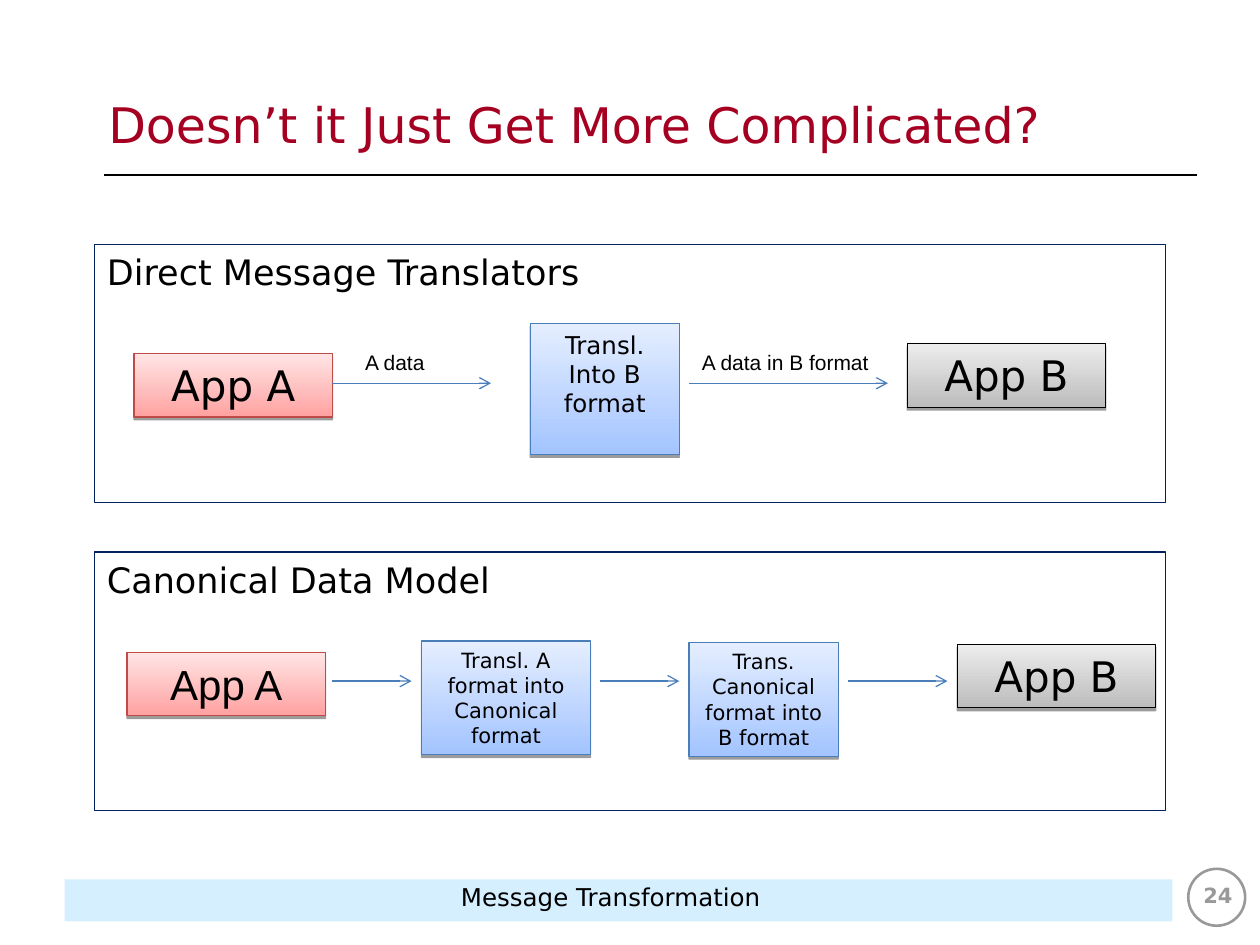
from lxml.etree import SubElement
from pptx import Presentation
from pptx.dml.color import RGBColor
from pptx.enum.shapes import MSO_CONNECTOR, MSO_SHAPE
from pptx.enum.text import MSO_ANCHOR, MSO_AUTO_SIZE, PP_ALIGN
from pptx.oxml.ns import qn
from pptx.util import Pt

SANS = "DejaVu Sans"
RED = ("FFA2A1", "FFE5E5", "BE4B48")
GRAY = ("BCBCBC", "EDEDED", "000000")
BLUE = ("A3C4FF", "E5EEFF", "4A7EBB")


def rgb(color):
    return RGBColor.from_string(color)


def place(shape, box):
    shape.left, shape.top, shape.width, shape.height = [Pt(v) for v in box]


def write(shape, text, size, color="000000", font=SANS, bold=False,
          align=PP_ALIGN.CENTER, anchor=MSO_ANCHOR.TOP):
    frame = shape.text_frame
    frame.word_wrap = True
    frame.auto_size = MSO_AUTO_SIZE.NONE
    frame.vertical_anchor = anchor
    para = frame.paragraphs[0]
    para.alignment = align
    run = para.add_run()
    run.text = text
    run.font.name = font
    run.font.size = Pt(size)
    run.font.bold = bold
    run.font.color.rgb = rgb(color)


def add_text(slide, box, text, size, **style):
    write(slide.shapes.add_textbox(*[Pt(v) for v in box]), text, size, **style)


def add_form(slide, box, fill=None, line=None, width=0.75, kind=MSO_SHAPE.RECTANGLE):
    shape = slide.shapes.add_shape(kind, *[Pt(v) for v in box])
    shape.shadow.inherit = False
    if fill:
        shape.fill.solid()
        shape.fill.fore_color.rgb = rgb(fill)
    else:
        shape.fill.background()
    if line:
        shape.line.color.rgb = rgb(line)
        shape.line.width = Pt(width)
    else:
        shape.line.fill.background()
    return shape


def add_alpha(color, percent):
    SubElement(color, qn("a:alpha"), val=str(percent * 1000))


def add_panel(slide, top, text):
    panel = add_form(slide, (54, top, 612, 147.5), line="002060")
    write(panel, text, 20, align=PP_ALIGN.LEFT)


def add_node(slide, box, text, size, tint, font=SANS):
    """Box with a gradient from dark at the foot to light, and a hard shadow."""
    dark, light, line = tint
    node = add_form(slide, box, line=line)
    node.fill.gradient()
    node.fill.gradient_angle = 90
    for stop, color in zip(node.fill.gradient_stops, (dark, light)):
        stop.color.rgb = rgb(color)
    effects = node._element.spPr.find(qn("a:effectLst"))
    shade = SubElement(effects, qn("a:outerShdw"), blurRad="0",
                       dist=str(Pt(1.6)), dir="5400000", rotWithShape="0")
    add_alpha(SubElement(shade, qn("a:srgbClr"), val="000000"), 38)
    write(node, text, size, font=font)


def add_line(slide, x1, x2, y, color, arrow=False):
    link = slide.shapes.add_connector(
        MSO_CONNECTOR.STRAIGHT, Pt(x1), Pt(y), Pt(x2), Pt(y))
    link.line.color.rgb = rgb(color)
    link.line.width = Pt(0.75)
    if arrow:
        SubElement(link.line._get_or_add_ln(), qn("a:tailEnd"), type="arrow")
    SubElement(link._element.spPr, qn("a:effectLst"))


def add_frame(slide):
    """Title, rule, footer band and page number."""
    title = slide.shapes.title
    place(title, (54.7, 26, 610.5, 89.3))
    write(title, "Doesn’t it Just Get More Complicated?", 28, "A50021",
          align=PP_ALIGN.LEFT, anchor=MSO_ANCHOR.MIDDLE)
    add_line(slide, 59.3, 684, 100, "000000")
    band = add_form(slide, (37, 502.5, 633, 24), fill="CCECFF")
    add_alpha(band.fill._xPr.find(qn("a:solidFill"))[0], 82)
    add_text(slide, (224, 500.5, 250, 36), "Message Transformation", 14)
    add_form(slide, (679, 496.5, 32.5, 32.5), "FFFFFF", "999999", 1.5, MSO_SHAPE.OVAL)
    add_text(slide, (669, 500.5, 54, 36), "24", 12, color="999999", bold=True)


def add_direct(slide):
    add_panel(slide, 139.7, "Direct Message Translators")
    add_node(slide, (76.6, 202, 113.4, 36.3), "App A", 24, RED)
    add_node(slide, (518.4, 196.4, 113.4, 36.3), "App B", 24, GRAY)
    add_node(slide, (303, 184.8, 85.2, 75), "Transl. Into B format", 14, BLUE)
    for x1, x2 in ((190, 280.6), (394, 507.4)):
        add_line(slide, x1, x2, 219, BLUE[2], arrow=True)
    for x, width, text in ((201.5, 68, "A data"), (394, 113.4, "A data in B format")):
        add_text(slide, (x, 196.4, width, 21.6), text, 12,
                 font="Arial", align=PP_ALIGN.LEFT)


def add_model(slide):
    add_panel(slide, 315.5, "Canonical Data Model")
    add_node(slide, (72.6, 372.7, 113.4, 36.3), "App A", 24, RED, font="Arial")
    add_node(slide, (547, 368.2, 113.4, 36.3), "App B", 24, GRAY)
    add_node(slide, (240.8, 366.3, 96.7, 65), "Transl. A format into Canonical format", 12, BLUE)
    add_node(slide, (393.8, 367.2, 85.2, 65), "Trans. Canonical format into B format", 12, BLUE)
    for x1, x2 in ((190, 235.2), (343, 388.2), (484.8, 541.4)):
        add_line(slide, x1, x2, 389.2, BLUE[2], arrow=True)


def main():
    deck = Presentation()
    deck.slide_width, deck.slide_height = Pt(720), Pt(540)
    slide = deck.slides.add_slide(deck.slide_layouts[5])
    add_frame(slide)
    add_direct(slide)
    add_model(slide)
    deck.save("out.pptx")


if __name__ == "__main__":
    main()
